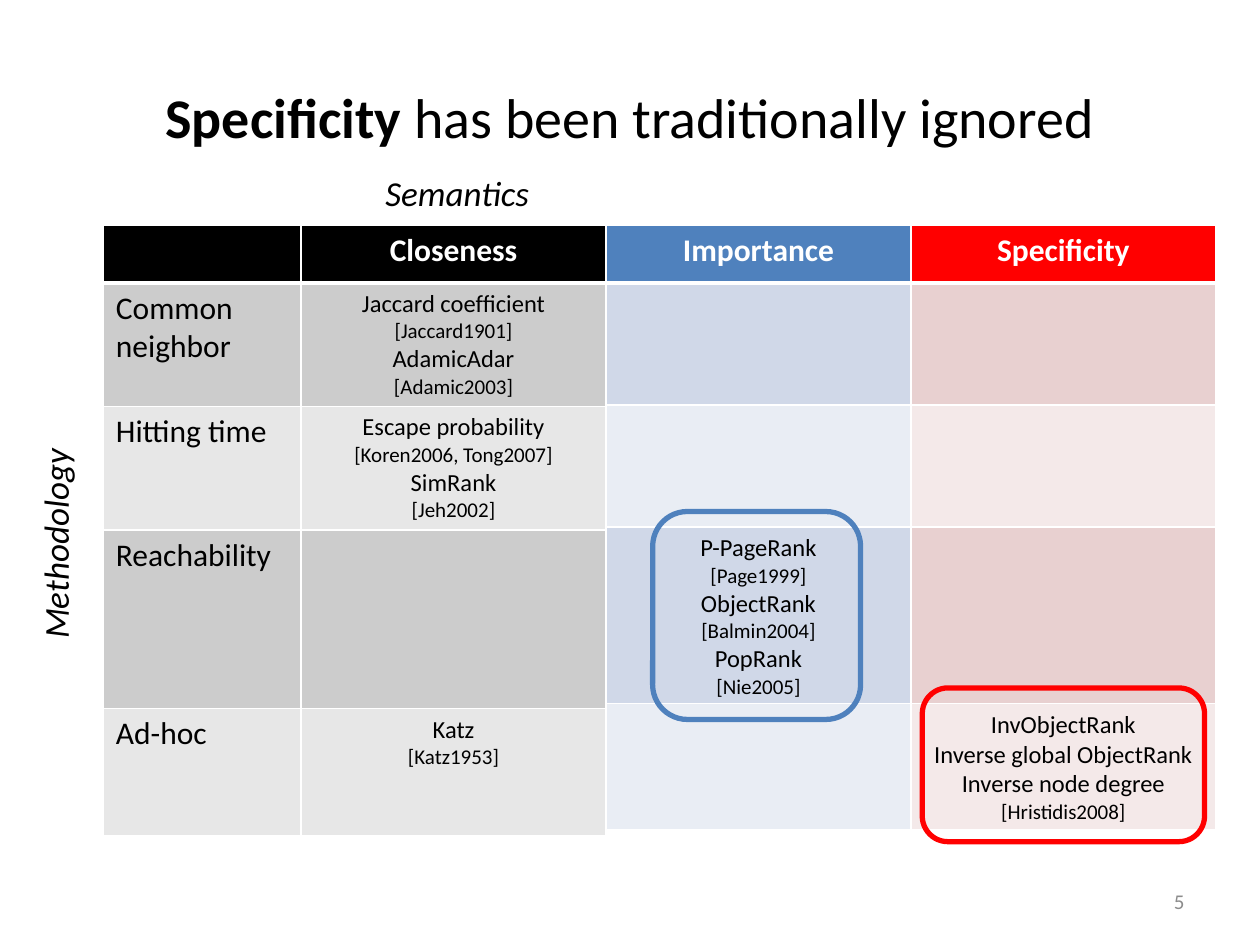
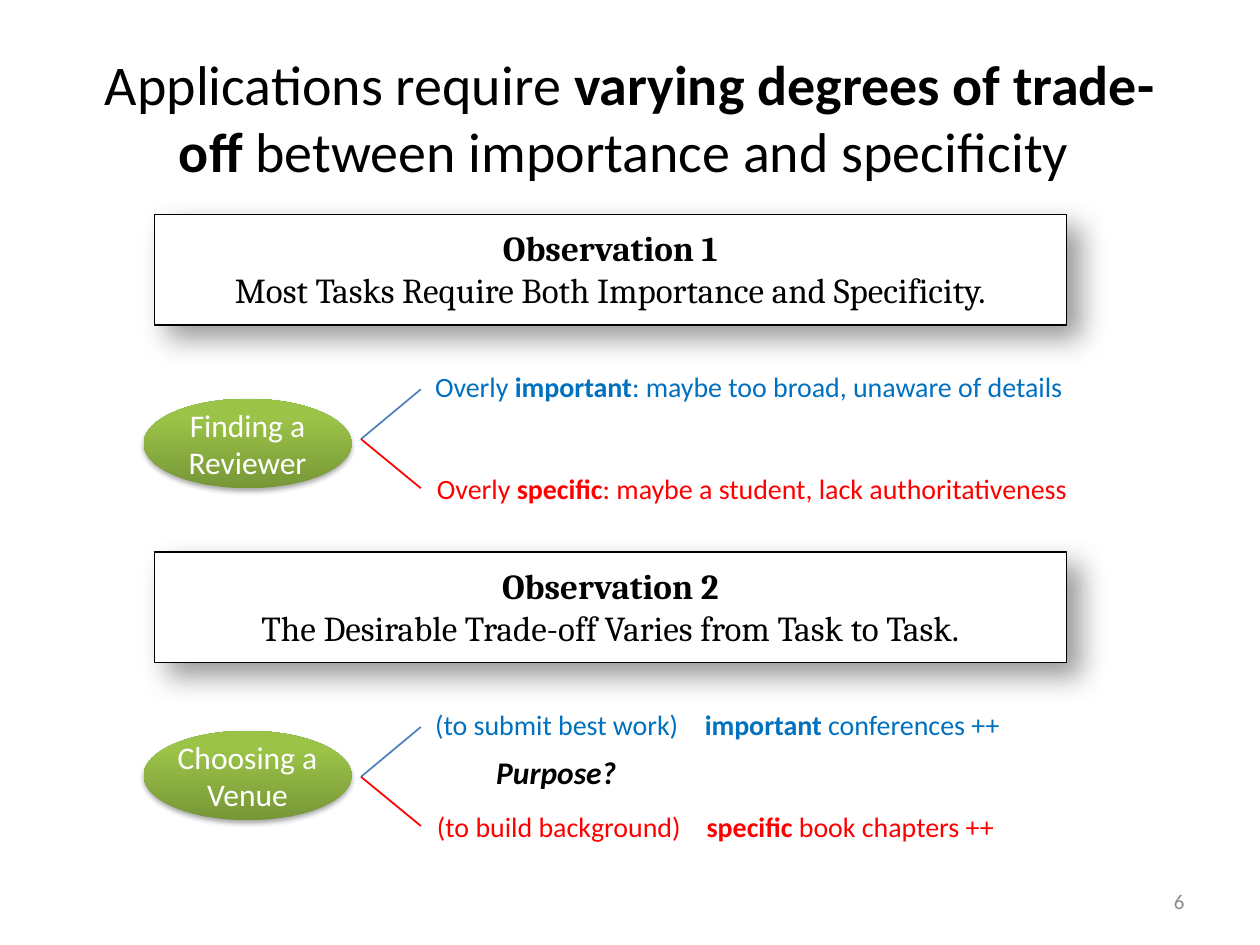
from collections import namedtuple

from lxml import etree
from pptx import Presentation
from pptx.dml.color import RGBColor
from pptx.enum.shapes import MSO_CONNECTOR as Connector, MSO_SHAPE as Preset
from pptx.enum.text import MSO_ANCHOR as Anchor, PP_ALIGN as Align
from pptx.oxml.ns import qn
from pptx.util import Inches, Pt

COLORS = {
    "black": "000000", "white": "FFFFFF", "red": "FF0000", "blue": "4F81BD",
    "text_blue": "0070C0", "number": "8C8C8C",
    "gray_dark": "CCCCCC", "gray_light": "E7E7E7",
    "blue_dark": "D0D8E8", "blue_light": "E9EDF4",
    "red_dark": "E8D0D0", "red_light": "F4E9E9",
    "green_dark": "779737", "green_light": "9BC348",
}
GRID_COLUMNS, GRID_ROWS = 100, 75
SLIDE_WIDTH, SLIDE_HEIGHT = Inches(10), Inches(7.5)
TITLE_SIZE, CITATION_SIZE, METHOD_SIZE = 32, 12, 14

Box = namedtuple("Box", "left top width height")
TITLE_BOX = Box(5, 3, 90, 12.5)
NUMBER_BOX = Box(71.7, 69.5, 23.3, 4)


def across(columns):
    """Turn grid columns into a slide length."""
    return round(columns * SLIDE_WIDTH / GRID_COLUMNS)


def down(rows):
    """Turn grid rows into a slide length."""
    return round(rows * SLIDE_HEIGHT / GRID_ROWS)


def lengths(box):
    """Give the position and size of a grid box as slide lengths."""
    return across(box.left), down(box.top), across(box.width), down(box.height)


def within(box, left, top, width, height):
    """Place a smaller box relative to the corner of another."""
    return Box(box.left + left, box.top + top, width, height)


def rgb(name):
    """Look up a named colour."""
    return RGBColor.from_string(COLORS[name])


def add_child(parent, tag, **attributes):
    """Append an XML element with a prefixed tag."""
    return etree.SubElement(parent, qn(tag), {key: str(value) for key, value in attributes.items()})


def write(paragraph, text, size=18, color="black", font="Calibri", bold=False,
          italic=False, align=Align.LEFT):
    """Write text in a paragraph, with *marked* parts bold and newlines as breaks."""
    paragraph.alignment = align
    for index, part in enumerate(text.split("*")):
        for line_index, line in enumerate(part.split("\n")):
            if line_index:
                paragraph.add_line_break()
            if line:
                run = paragraph.add_run()
                run.text = line
                run.font.name, run.font.size = font, Pt(size)
                run.font.bold = bold or index % 2 == 1
                run.font.italic = italic
                run.font.color.rgb = rgb(color)


def add_label(slide, box, text, anchor=Anchor.TOP, **style):
    """Add a text box holding one formatted paragraph."""
    label = slide.shapes.add_textbox(*lengths(box))
    frame = label.text_frame
    frame.word_wrap, frame.vertical_anchor = True, anchor
    write(frame.paragraphs[0], text, **style)
    return label


def add_plain_shape(slide, preset, box, line=None, weight=1):
    """Add a preset shape without fill or shadow."""
    shape = slide.shapes.add_shape(preset, *lengths(box))
    shape.shadow.inherit = False
    shape.fill.background()
    if line:
        shape.line.color.rgb, shape.line.width = rgb(line), Pt(weight)
    else:
        shape.line.fill.background()
    return shape


def cast_shadow(shape, opacity, blur, distance, angle):
    """Give a shape a soft black outer shadow."""
    effects = shape._element.spPr.find(qn("a:effectLst"))
    shadow = add_child(effects, "a:outerShdw", blurRad=Pt(blur), dist=Pt(distance),
                       dir=angle * 60000, algn="tl", rotWithShape=0)
    color = add_child(shadow, "a:srgbClr", val=COLORS["black"])
    add_child(color, "a:alpha", val=opacity * 1000)


def add_titled_slide(presentation, title, number):
    """Add a slide with its title and page number."""
    slide = presentation.slides.add_slide(presentation.slide_layouts[5])
    placeholder = slide.shapes.title
    placeholder.left, placeholder.top, placeholder.width, placeholder.height = lengths(TITLE_BOX)
    placeholder.text_frame.vertical_anchor = Anchor.MIDDLE
    write(placeholder.text_frame.paragraphs[0], title, size=TITLE_SIZE, align=Align.CENTER)
    add_label(slide, NUMBER_BOX, str(number), anchor=Anchor.MIDDLE, size=12,
              color="number", align=Align.RIGHT)
    return slide


def format_cell(cell, fill, is_header):
    """Give a cell white borders and a solid fill."""
    properties = cell._tc.get_or_add_tcPr()
    for side in "LRTB":
        weight = 3 if is_header and side == "B" else 1
        border = add_child(properties, f"a:ln{side}", w=Pt(weight))
        add_child(add_child(border, "a:solidFill"), "a:srgbClr", val=COLORS["white"])
    cell.fill.solid()
    cell.fill.fore_color.rgb = rgb(fill)


def fill_methods(cell, lines):
    """List methods in a cell, with their citations smaller."""
    frame = cell.text_frame
    for index, line in enumerate(lines):
        paragraph = frame.add_paragraph() if index else frame.paragraphs[0]
        size = CITATION_SIZE if line.startswith("[") else METHOD_SIZE
        write(paragraph, line, size=size, align=Align.CENTER)


def add_method_table(slide, left, top, column_widths, row_heights, header, bands, methods,
                     row_names=()):
    """Add a table whose last column lists methods by row under a coloured header."""
    heading, header_color = header
    box = Box(left, top, sum(column_widths), sum(row_heights))
    table = slide.shapes.add_table(len(row_heights), len(column_widths), *lengths(box)).table
    for column, width in zip(table.columns, column_widths):
        column.width = across(width)
    for index, (row, height) in enumerate(zip(table.rows, row_heights)):
        row.height = down(height)
        fill = bands[(index - 1) % 2] if index else header_color
        for cell in row.cells:
            format_cell(cell, fill, index == 0)
        if index and row_names:
            write(row.cells[0].text_frame.paragraphs[0], row_names[index - 1])
    last = len(column_widths) - 1
    write(table.cell(0, last).text_frame.paragraphs[0], heading, color="white", bold=True,
          align=Align.CENTER)
    for index, lines in methods.items():
        cell = table.cell(index, last)
        cell.vertical_anchor = Anchor.TOP if len(lines) == 2 else Anchor.MIDDLE
        fill_methods(cell, lines)


def build_semantics_slide(presentation):
    """Compare methods by methodology and semantics."""
    slide = add_titled_slide(presentation, "*Specificity* has been traditionally ignored", 5)
    left, top, name_width, width = 8.2, 17.85, 15.7, 24.2
    short_rows = (4.6, 9.7, 9.7, 14, 10)
    add_method_table(
        slide, left, top, (name_width, width), (4.6, 9.8, 9.8, 14.2, 10.1),
        ("Closeness", "black"), ("gray_dark", "gray_light"),
        {1: ("Jaccard coefﬁcient", "[Jaccard1901]", "AdamicAdar", "[Adamic2003]"),
         2: ("Escape probability", "[Koren2006, Tong2007]", "SimRank", "[Jeh2002]"),
         4: ("Katz", "[Katz1953]")},
        ("Common neighbor", "Hitting time", "Reachability", "Ad-hoc"))
    add_label(slide, Box(29.6, 13.1, 14, 4.4), "Semantics", size=20, italic=True)
    methodology = add_label(slide, Box(2.2, 31.7, 5.4, 20), "Methodology", size=20, italic=True)
    methodology.text_frame.word_wrap = True
    methodology.text_frame._txBody.bodyPr.set("vert", "vert270")
    importance_left = left + name_width + width
    add_method_table(
        slide, importance_left + width, top, (width,), short_rows,
        ("Specificity", "red"), ("red_dark", "red_light"),
        {4: ("InvObjectRank", "Inverse global ObjectRank", "Inverse node degree",
             "[Hristidis2008]")})
    add_method_table(
        slide, importance_left, top, (width,), short_rows,
        ("Importance", "blue"), ("blue_dark", "blue_light"),
        {3: ("P-PageRank", "[Page1999]", "ObjectRank", "[Balmin2004]", "PopRank", "[Nie2005]")})
    for box, color in ((Box(51.8, 40.6, 16.5, 16.5), "blue"),
                       (Box(73.2, 54.6, 22.4, 12.2), "red")):
        add_plain_shape(slide, Preset.ROUNDED_RECTANGLE, box, color, 3)


def add_observation(slide, box, text):
    """Add a shadowed box stating an observation."""
    shape = add_plain_shape(slide, Preset.RECTANGLE, box, "black", 0.75)
    shape.fill.solid()
    shape.fill.fore_color.rgb = rgb("white")
    cast_shadow(shape, 40, 16, 10, 45)
    frame = shape.text_frame
    frame.word_wrap, frame.vertical_anchor = True, Anchor.TOP
    frame.margin_left = frame.margin_right = Inches(0.2)
    frame.margin_top = frame.margin_bottom = Inches(0.1)
    paragraph = frame.paragraphs[0]
    paragraph.space_after = Pt(12)
    write(paragraph, text, size=20, font="Cambria", align=Align.CENTER)


def add_task_oval(slide, box, task):
    """Add a green gradient oval naming a task."""
    oval = add_plain_shape(slide, Preset.OVAL, box)
    oval.fill.gradient()
    oval.fill.gradient_angle = 90
    for stop, color, position in zip(oval.fill.gradient_stops,
                                     ("green_dark", "green_light"), (0, 0.8)):
        stop.color.rgb, stop.position = rgb(color), position
    cast_shadow(oval, 35, 3.1, 1.8, 90)
    frame = oval.text_frame
    frame.word_wrap, frame.vertical_anchor = True, Anchor.MIDDLE
    frame.margin_left = frame.margin_right = frame.margin_top = frame.margin_bottom = 0
    write(frame.paragraphs[0], task, color="white", align=Align.CENTER)


def add_branch(slide, start, end, color):
    """Draw a thin line between two grid points."""
    line = slide.shapes.add_connector(Connector.STRAIGHT, across(start[0]), down(start[1]),
                                      across(end[0]), down(end[1]))
    line.line.color.rgb, line.line.width = rgb(color), Pt(1)
    add_child(line._element.spPr, "a:effectLst")


def add_task_fork(slide, box, task, oval_top, outcomes):
    """Add a task oval that forks into an important and a specific outcome."""
    add_task_oval(slide, within(box, 0, oval_top, 16.5, 7.1), task)
    tip = (box.left + 17.25, box.top + 6)
    styles = (("blue", "text_blue", -3.95, 22.15, 0), ("red", "red", 3.9, 22.3, 8.1))
    for outcome, (line_color, color, rise, left, top) in zip(outcomes, styles):
        add_branch(slide, tip, (tip[0] + 4.75, tip[1] + rise), line_color)
        label = add_label(slide, within(box, left, top, box.width - left, 3.7), outcome,
                          size=16, color=color)
        if "\t" in outcome:
            properties = label.text_frame.paragraphs[0]._p.get_or_add_pPr()
            add_child(add_child(properties, "a:tabLst"), "a:tab", pos=across(21.4), algn="l")


def build_tradeoff_slide(presentation):
    """Present two observations, each with an example task."""
    slide = add_titled_slide(
        presentation,
        "Applications require *varying degrees of trade-off* between importance and specificity ", 6)
    for top, text in (
            (17, "*Observation 1*\nMost Tasks Require Both Importance and Specificity."),
            (43.8, "*Observation 2*\nThe Desirable Trade-off Varies from Task to Task.")):
        add_observation(slide, Box(12.25, top, 72.4, 8.8), text)
    add_task_fork(slide, Box(11.4, 28.85, 76.3, 11.8), "Finding a Reviewer", 2.8,
                  ("Overly *important*: maybe too broad, unaware of details",
                   "Overly *specific*: maybe a student, lack authoritativeness"))
    add_task_fork(slide, Box(11.4, 55.65, 76.3, 11.8), "Choosing a Venue", 2.35,
                  ("(to submit best work)\t*important* conferences ++",
                   "(to build background)\t*specific* book chapters ++"))
    add_label(slide, Box(38.4, 59.3, 12, 4), "Purpose?", bold=True, italic=True)


def main():
    """Build and save the presentation."""
    presentation = Presentation()
    presentation.slide_width, presentation.slide_height = SLIDE_WIDTH, SLIDE_HEIGHT
    build_semantics_slide(presentation)
    build_tradeoff_slide(presentation)
    presentation.save("out.pptx")


if __name__ == "__main__":
    main()
